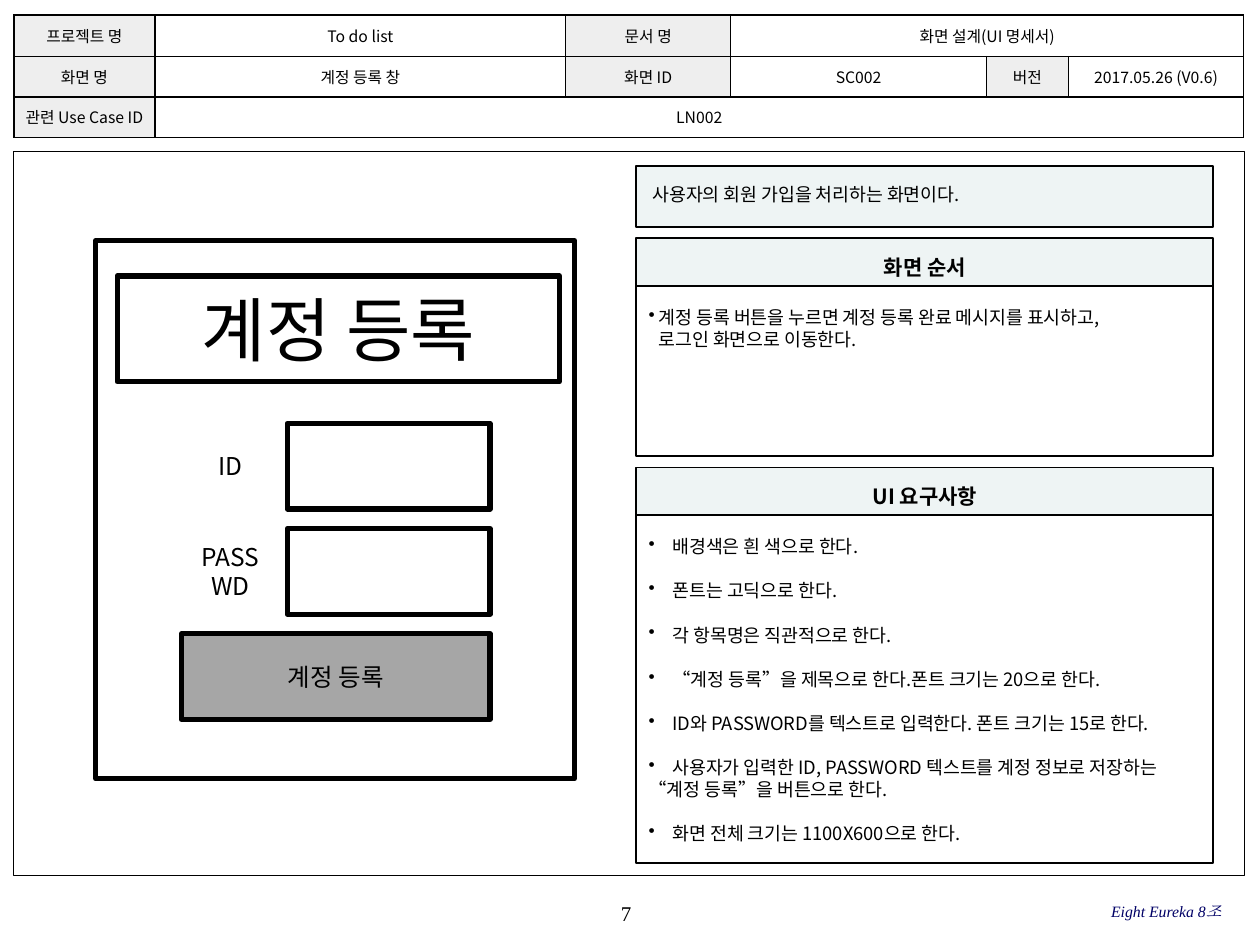
from dataclasses import dataclass

import pptx
import pptx.dml.color
import pptx.enum.shapes
import pptx.enum.text
import pptx.oxml
import pptx.oxml.ns
import pptx.util
from lxml import etree

ALIGN = pptx.enum.text.PP_ALIGN
ANCHOR = pptx.enum.text.MSO_ANCHOR
CELL = pptx.util.Inches(0.01)  # one grid cell; the slide is 1000 x 750 cells


@dataclass(frozen=True)
class Theme:
    sans: str = "Noto Sans CJK KR"
    serif: str = "Times New Roman"
    ink: str = "000000"
    navy: str = "000066"
    paper: str = "FFFFFF"
    label: str = "EEEEEE"
    tint: str = "EEF4F4"
    button: str = "A6A6A6"
    small: float = 9
    body: float = 10.5
    heading: float = 12
    form: float = 14
    display: float = 40
    frame_line: float = 0.75
    line: float = 1
    wire: float = 3


THEME = Theme()


@dataclass(frozen=True)
class Box:
    """An area in grid cells."""
    left: float
    top: float
    width: float
    height: float

    def area(self, left, top, width, height):
        return Box(self.left + left, self.top + top, width, height)

    def lengths(self):
        return [int(n * CELL) for n in (self.left, self.top, self.width, self.height)]


def colour(value):
    return pptx.dml.color.RGBColor.from_string(value)


def write(paragraph, text, size, align=ALIGN.CENTER, font=THEME.sans, ink=THEME.ink,
          bold=False, italic=False):
    paragraph.alignment = align
    run = paragraph.add_run()
    run.text = text
    run.font.name, run.font.size = font, pptx.util.Pt(size)
    run.font.bold, run.font.italic = bold, italic
    run.font.color.rgb = colour(ink)
    east_asian = etree.SubElement(run._r.get_or_add_rPr(), pptx.oxml.ns.qn("a:ea"))
    east_asian.set("typeface", font)


def set_frame(frame, anchor=ANCHOR.MIDDLE, insets=(10, 5, 10, 5)):
    frame.word_wrap = True
    frame.vertical_anchor = anchor
    (frame.margin_left, frame.margin_top,
     frame.margin_right, frame.margin_bottom) = [n * CELL for n in insets]
    return frame


def add_rectangle(slide, box, line, fill=None):
    shape = slide.shapes.add_shape(pptx.enum.shapes.MSO_SHAPE.RECTANGLE, *box.lengths())
    shape.shadow.inherit = False
    if fill:
        shape.fill.solid()
        shape.fill.fore_color.rgb = colour(fill)
    else:
        shape.fill.background()
    shape.line.color.rgb = colour(THEME.ink)
    shape.line.width = pptx.util.Pt(line)
    return shape


def add_text(slide, box, text, size, insets=(10, 5, 10, 5), **style):
    frame = set_frame(slide.shapes.add_textbox(*box.lengths()).text_frame, insets=insets)
    write(frame.paragraphs[0], text, size, **style)


def set_bullet(paragraph, indent):
    properties = paragraph._p.get_or_add_pPr()
    properties.set("marL", str(indent * CELL))
    properties.set("indent", str(-indent * CELL))
    bullet = etree.SubElement(properties, pptx.oxml.ns.qn("a:buChar"))
    bullet.set("char", "•")


def set_borders(cell):
    properties = cell._tc.get_or_add_tcPr()
    for position, side in enumerate(("lnL", "lnR", "lnT", "lnB")):
        properties.insert(position, pptx.oxml.parse_xml(
            f'<a:{side} {pptx.oxml.ns.nsdecls("a")} w="{pptx.util.Pt(THEME.line)}">'
            f'<a:solidFill><a:srgbClr val="{THEME.ink}"/></a:solidFill></a:{side}>'))


def document_table(slide, box):
    columns, rows = (112, 326, 131, 203, 65, 139), (33, 32, 32)
    contents = [
        ["프로젝트 명", "To do list", "문서 명", "화면 설계(UI 명세서)"],
        ["화면 명", "계정 등록 창", "화면 ID", "SC002", "버전", "2017.05.26 (V0.6)"],
        ["관련 Use Case ID", "LN002"],
    ]
    table = slide.shapes.add_table(len(rows), len(columns), *box.lengths()).table
    for column, width in zip(table.columns, columns):
        column.width = width * CELL
    for row, height in zip(table.rows, rows):
        row.height = height * CELL
    for r, texts in enumerate(contents):
        for c in range(len(columns)):
            cell = table.cell(r, c)
            cell.fill.solid()
            # Labels alternate with values along each row
            is_label = c % 2 == 0 and c < len(texts)
            cell.fill.fore_color.rgb = colour(THEME.label if is_label else THEME.paper)
            cell.vertical_anchor = ANCHOR.MIDDLE
            cell.margin_left = cell.margin_right = 4 * CELL
            cell.margin_top = cell.margin_bottom = 2 * CELL
            set_borders(cell)
            if c < len(texts):
                write(cell.text_frame.paragraphs[0], texts[c], THEME.small)
        # The last value fills the rest of its row
        if len(texts) < len(columns):
            table.cell(r, len(texts) - 1).merge(table.cell(r, len(columns) - 1))


def screen_mockup(slide, box):
    add_rectangle(slide, box, THEME.wire)
    title = add_rectangle(slide, box.area(17, 28, 351, 84), THEME.wire, THEME.paper)
    write(set_frame(title.text_frame).paragraphs[0], "계정 등록", THEME.display)
    # Three form rows of equal pitch: two inputs and the button
    first, pitch, height = 145, 83.5, 68
    label_left, label_width, field_left, field_width = 68, 78, 152, 161
    for index, label in enumerate(("ID", "PASSWD")):
        top = first + index * pitch
        add_rectangle(slide, box.area(field_left, top, field_width, height), THEME.wire)
        add_text(slide, box.area(label_left, top, label_width, height), label, THEME.form)
    button_box = box.area(label_left, first + 2 * pitch,
                          field_left + field_width - label_left, height)
    button = add_rectangle(slide, button_box, THEME.wire, THEME.button)
    write(set_frame(button.text_frame).paragraphs[0], "계정 등록", THEME.form)


def summary_panel(slide, box):
    shape = add_rectangle(slide, box, THEME.line, THEME.tint)
    frame = set_frame(shape.text_frame, ANCHOR.TOP, (13, 13, 10, 5))
    write(frame.paragraphs[0], "사용자의 회원 가입을 처리하는 화면이다.", THEME.body, ALIGN.JUSTIFY)


def list_panel(slide, box, heading, items, indent, gap=0, hang=0):
    """Each item is a list of lines; the first line carries the bullet."""
    header_height = 38
    header = add_rectangle(slide, box.area(0, 0, box.width, header_height),
                           THEME.line, THEME.tint)
    frame = set_frame(header.text_frame, ANCHOR.TOP, (10, 13, 10, 5))
    write(frame.paragraphs[0], heading, THEME.heading, bold=True)
    body = add_rectangle(slide, box.area(0, header_height, box.width,
                                         box.height - header_height),
                         THEME.line, THEME.paper)
    frame = set_frame(body.text_frame, ANCHOR.TOP, (10, 16, 10, 5))
    paragraph = frame.paragraphs[0]
    for number, lines in enumerate(items):
        for position, line in enumerate(lines):
            if number or position:
                paragraph = frame.add_paragraph()
            if position == 0:
                paragraph.space_before = pptx.util.Pt(gap if number else 0)
                set_bullet(paragraph, indent)
            else:
                paragraph._p.get_or_add_pPr().set("marL", str(hang * CELL))
            write(paragraph, line, THEME.body, ALIGN.JUSTIFY)


def description_column(slide, box):
    gap, summary, order, requirements = 9, 48, 173, 314
    summary_panel(slide, box.area(0, 0, box.width, summary))
    top = summary + gap
    list_panel(slide, box.area(0, top, box.width, order), "화면 순서", [
        ["계정 등록 버튼을 누르면 계정 등록 완료 메시지를 표시하고,", "로그인 화면으로 이동한다."],
    ], indent=8, hang=8)
    top += order + gap
    list_panel(slide, box.area(0, top, box.width, requirements), "UI 요구사항", [
        ["배경색은 흰 색으로 한다."],
        ["폰트는 고딕으로 한다."],
        ["각 항목명은 직관적으로 한다."],
        ["“계정 등록”을 제목으로 한다.폰트 크기는 20으로 한다."],
        ["ID와 PASSWORD를 텍스트로 입력한다. 폰트 크기는 15로 한다."],
        ["사용자가 입력한 ID, PASSWORD 텍스트를 계정 정보로 저장하는",
         "“계정 등록”을 버튼으로 한다."],
        ["화면 전체 크기는 1100X600으로 한다."],
    ], indent=19, gap=12.6)


def footer(slide, box):
    flush = (0, 0, 0, 0)
    add_text(slide, box.area(382, 1, 208, 33), "7", THEME.heading, flush, font=THEME.serif)
    add_text(slide, box.area(652, 0, 306, 33), "Eight Eureka 8조", THEME.small, flush,
             align=ALIGN.RIGHT, font=THEME.serif, ink=THEME.navy, italic=True)


def main():
    presentation = pptx.Presentation()
    presentation.slide_width, presentation.slide_height = 1000 * CELL, 750 * CELL
    slide = presentation.slides.add_slide(presentation.slide_layouts[6])
    add_rectangle(slide, Box(11, 120, 977, 575), THEME.frame_line)
    footer(slide, Box(11, 707, 977, 34))
    description_column(slide, Box(505, 132, 458, 553))
    document_table(slide, Box(11, 12, 977, 98))
    screen_mockup(slide, Box(76, 191, 380, 427))
    presentation.save("out.pptx")


if __name__ == "__main__":
    main()
